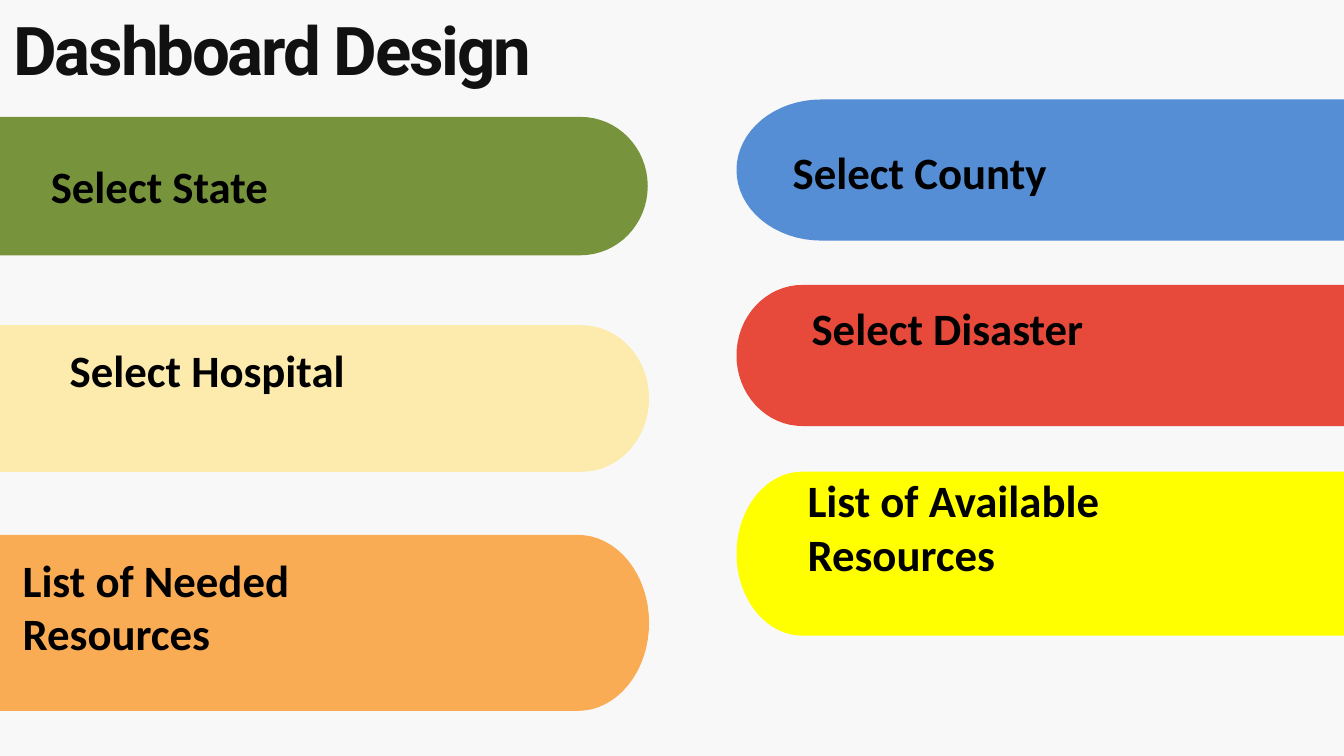
from math import cos, pi, sin

from pptx import Presentation
from pptx.dml.color import RGBColor
from pptx.enum.text import MSO_ANCHOR, MSO_AUTO_SIZE, PP_ALIGN
from pptx.util import Inches, Pt


def color(hex_string):
    return RGBColor.from_string(hex_string)


def style_text(box, text, font_name, size, hex_string):
    frame = box.text_frame
    frame.word_wrap = True
    frame.auto_size = MSO_AUTO_SIZE.SHAPE_TO_FIT_TEXT
    frame.vertical_anchor = MSO_ANCHOR.TOP
    para = frame.paragraphs[0]
    para.text = text
    para.alignment = PP_ALIGN.LEFT
    para.font.name = font_name
    para.font.size = Pt(size)
    para.font.bold = True
    para.font.color.rgb = color(hex_string)
    return frame


# Widescreen page, 16:9
deck = Presentation()
deck.slide_width = Inches(10)
deck.slide_height = Inches(10 * 9 / 16)
page = deck.slides.add_slide(deck.slide_layouts[5])
page.background.fill.solid()
page.background.fill.fore_color.rgb = color("F8F8F8")

# Title
title = page.shapes.title
title.left, title.top = Inches(0.09), Inches(0.05)
title.width, title.height = Inches(6.99), Inches(0.63)
frame = style_text(title, "Dashboard Design", "Roboto", 36, "111111")
frame.margin_right = frame.margin_bottom = 0
frame.margin_left = frame.margin_top = Inches(0.01)
frame.paragraphs[0].runs[0].font._element.set("spc", "-120")

# Bands: flat edge x, start of the curve x, tip x, top, height, fill
bands = [
    (10, 5.97, 5.48, 2.12, 1.05, "E74A3B"),
    (10, 6.11, 5.48, 0.74, 1.05, "558ED5"),
    (0, 4.33, 4.83, 2.42, 1.09, "FCEBAC"),
    (0, 4.3, 4.83, 3.98, 1.31, "FAAC55"),
    (-0.02, 4.32, 4.82, 0.87, 1.03, "77933C"),
    (10, 5.97, 5.48, 3.51, 1.22, "FFFF00"),
]
ARC_STEPS = 32
for edge, curve, tip, top, height, fill in bands:
    # The rounded end is half an ellipse, from the top corner to the bottom one
    angles = [pi * step / ARC_STEPS for step in range(ARC_STEPS + 1)]
    arc = [
        (
            Inches(curve + (tip - curve) * sin(angle)),
            Inches(top + height / 2 * (1 - cos(angle))),
        )
        for angle in angles
    ]
    outline = page.shapes.build_freeform(Inches(edge), Inches(top))
    outline.add_line_segments(arc + [(Inches(edge), Inches(top + height))])
    band = outline.convert_to_shape()
    band.shadow.inherit = False
    band.fill.solid()
    band.fill.fore_color.rgb = color(fill)
    band.line.fill.background()

# Labels: text, left, top, width, height
labels = [
    ("Select State", 0.28, 1.13, 2.23, 0.5),
    ("Select County", 5.8, 1.03, 2.45, 0.5),
    ("Select Hospital", 0.42, 2.5, 2.45, 0.91),
    ("Select Disaster", 5.94, 2.19, 2.45, 0.91),
    ("List of Needed Resources", 0.07, 4.06, 2.45, 1.31),
    ("List of Available Resources", 5.91, 3.47, 2.45, 1.31),
]
for text, *place in labels:
    box = page.shapes.add_textbox(*[Inches(length) for length in place])
    style_text(box, text, "Calibri", 24, "000000")

deck.save("out.pptx")
